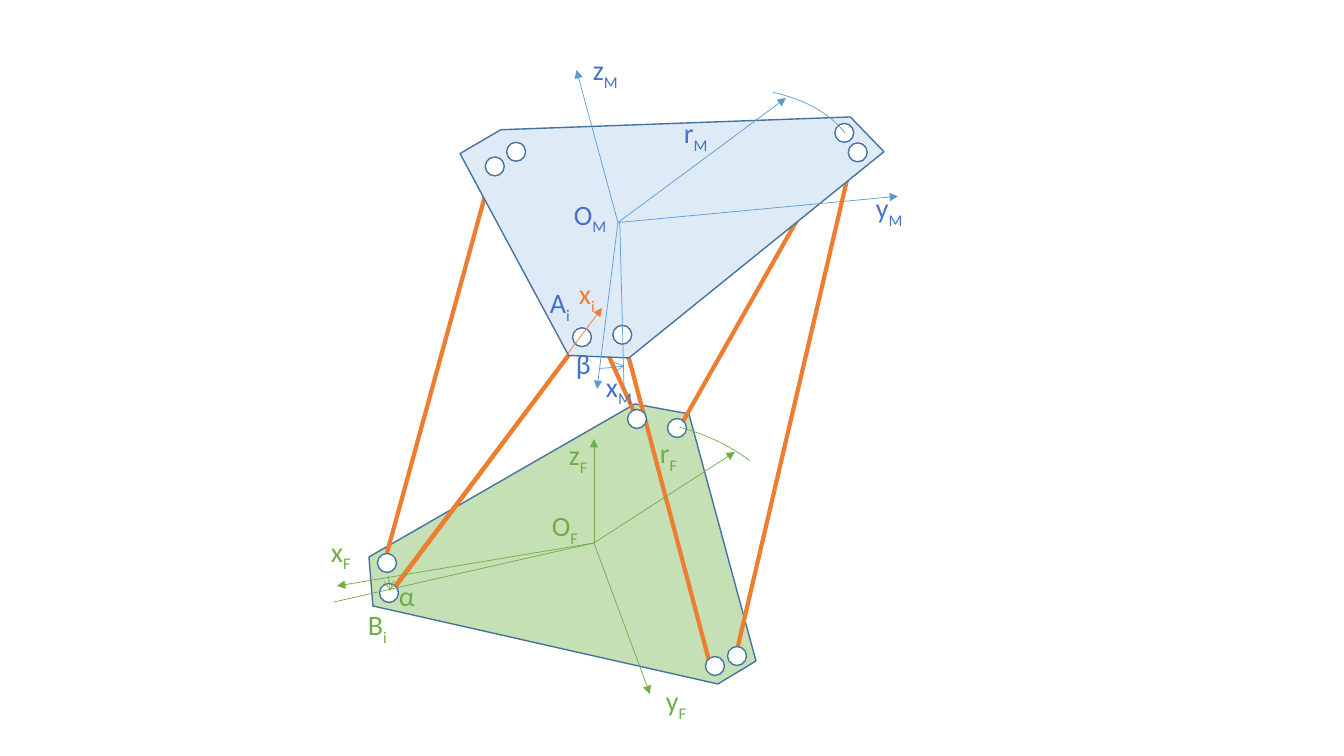
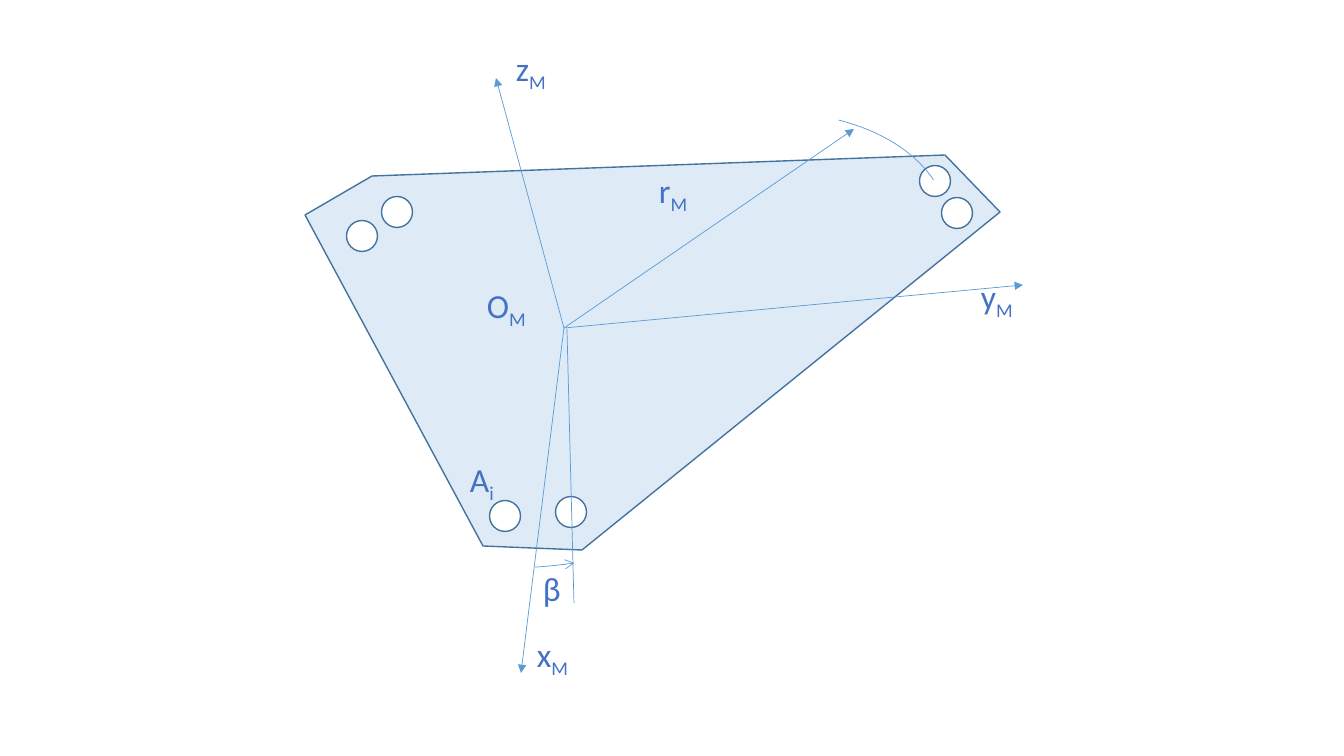
from lxml.etree import SubElement
from pptx import Presentation
from pptx.dml.color import RGBColor
from pptx.enum.shapes import MSO_CONNECTOR as Connector, MSO_SHAPE as Shape
from pptx.enum.text import MSO_AUTO_SIZE as AutoSize
from pptx.oxml.ns import qn
from pptx.util import Emu, Pt

EMU_PER_PX = 914400 / 100.8
FONT = "Calibri"
OUTLINE = "43739E"
WHITE = "FFFFFF"
MOVING_FILL = "DEEBF7"
MOVING_LINE = "5B9BD5"
MOVING_TEXT = "4472C4"
FIXED_FILL = "C5E0B4"
FIXED = "70AD47"
LEG = "ED7D31"
THIN = 0.5

MOVING_CORNERS = [(0, 60), (178, 391), (277, 395), (695, 57), (640, 0), (67, 21)]
MOVING_JOINTS = [(57, 81), (92, 57), (200, 361), (266, 357), (630, 26), (652, 58)]
FIXED_CORNERS = [(369, 557), (373, 606), (718, 684), (756, 661), (689, 414), (635, 404)]
FIXED_JOINTS = [(677, 428), (637, 419), (737, 656), (715, 666), (387, 563), (389, 593)]
LEGS = [
    ((735, 659), (854, 150)),
    ((681, 425), (851, 125)),
    ((712, 672), (622, 332)),
    ((396, 586), (586, 332)),
    ((387, 553), (494, 163)),
    ((635, 414), (515, 148)),
]


def px(length):
    return Emu(round(length * EMU_PER_PX))


def color(code):
    return RGBColor.from_string(code)


def set_line(item, code, width):
    item.line.color.rgb = color(code)
    item.line.width = Pt(width)


def add_arrowhead(item, end, style):
    SubElement(item.line._get_or_add_ln(), qn(f"a:{end}"), type=style)


def set_body(shape, fill):
    shape.shadow.inherit = False
    shape.fill.solid()
    shape.fill.fore_color.rgb = color(fill)
    set_line(shape, OUTLINE, 1)


def add_plate(slide, corners, fill):
    points = [(px(x), px(y)) for x, y in corners]
    outline = slide.shapes.build_freeform(*points[0], scale=1.0)
    outline.add_line_segments(points[1:], close=True)
    set_body(outline.convert_to_shape(), fill)


def add_joints(slide, centers, size):
    for x, y in centers:
        joint = slide.shapes.add_shape(
            Shape.OVAL, px(x - size / 2), px(y - size / 2), px(size), px(size))
        set_body(joint, WHITE)


def add_segment(slide, start, end, code, width=THIN):
    segment = slide.shapes.add_connector(
        Connector.STRAIGHT, *(px(value) for value in (*start, *end)))
    set_line(segment, code, width)
    SubElement(segment._element.spPr, qn("a:effectLst"))
    return segment


def add_axis(slide, start, end, code):
    add_arrowhead(add_segment(slide, start, end, code), "tailEnd", "triangle")


def add_arc(slide, box, rotation, angles, code, arrow=False):
    arc = slide.shapes.add_shape(Shape.ARC, *(px(value) for value in box))
    arc.rotation = rotation
    for index, angle in enumerate(angles):
        arc.adjustments[index] = angle * 0.6
    arc.shadow.inherit = False
    arc.fill.background()
    set_line(arc, code, THIN)
    if arrow:
        add_arrowhead(arc, "headEnd", "arrow")


def add_labels(slide, labels, code, size, height):
    for symbol, subscript, left, top, width in labels:
        label = slide.shapes.add_textbox(px(left), px(top), px(width), px(height))
        frame = label.text_frame
        frame.word_wrap = False
        frame.auto_size = AutoSize.SHAPE_TO_FIT_TEXT
        for part, baseline in ((symbol, None), (subscript, "-25000")):
            if not part:
                continue
            run = frame.paragraphs[0].add_run()
            run.text = part
            run.font.name = FONT
            run.font.size = Pt(size)
            run.font.color.rgb = color(code)
            if baseline:
                run._r.get_or_add_rPr().set("baseline", baseline)


def add_moving_platform(slide, left, top, scale, x_tip, radius_tip):
    def place(point):
        return left + point[0] * scale, top + point[1] * scale

    add_plate(slide, [place(corner) for corner in MOVING_CORNERS], MOVING_FILL)
    add_joints(slide, [place(joint) for joint in MOVING_JOINTS], 31 * scale)
    origin = place((259, 173))
    for tip in (place((718, 130)), x_tip, place((191, -77)), radius_tip):
        add_axis(slide, origin, tip, MOVING_LINE)
    add_segment(slide, place((262, 174)), place((269, 448)), MOVING_LINE)
    beta_box = (*place((-43, 0)), 701 * scale, 395 * scale)
    add_arc(slide, beta_box, 342.5, (117.75, 127.35), MOVING_LINE, arrow=True)


def add_fixed_axes(slide):
    origin = (594, 543)
    for tip in ((650, 694), (337, 586), (594, 439), (735, 452)):
        add_axis(slide, origin, tip, FIXED)
    add_segment(slide, origin, (334, 602), FIXED)
    add_arc(slide, (387, 419, 411, 282), 354.1, (309.13, 333.62), FIXED)
    add_arc(slide, (388, 420, 411, 282), 354.1, (177.5, 181.6), FIXED, arrow=True)


def build_hexapod(slide):
    add_plate(slide, FIXED_CORNERS, FIXED_FILL)
    for start, end in LEGS:
        add_segment(slide, start, end, LEG, 3)
    add_joints(slide, FIXED_JOINTS, 19)
    add_moving_platform(slide, 460, 117, 0.61, (597, 389), (786, 98))
    add_arc(slide, (439, 98, 427, 241), 342.5, (331.25, 353.58), MOVING_LINE)
    add_labels(slide, [
        ("x", "M", 596, 365, 48), ("y", "M", 866, 186, 49),
        ("z", "M", 583, 48, 47), ("O", "M", 564, 193, 55),
        ("r", "M", 674, 111, 46), ("β", "", 566, 342, 35),
        ("A", "i", 540, 281, 41),
    ], MOVING_TEXT, 20, 44)
    add_axis(slide, (390, 590), (602, 308), LEG)
    add_labels(slide, [("x", "i", 569, 272, 36)], LEG, 20, 44)
    add_fixed_axes(slide)
    add_labels(slide, [
        ("x", "F", 321, 530, 41), ("y", "F", 656, 679, 41),
        ("z", "F", 559, 433, 40), ("O", "F", 542, 504, 47),
        ("r", "F", 650, 431, 39), ("α", "", 389, 574, 36),
        ("B", "i", 358, 603, 41),
    ], FIXED, 20, 44)


def build_moving_platform(slide):
    add_moving_platform(slide, 305, 155, 1, (521, 673), (854, 129))
    add_arc(slide, (425, 123, 534, 328), 342.5, (328.81, 353.58), MOVING_LINE)
    add_labels(slide, [
        ("x", "M", 527, 629, 54), ("y", "M", 971, 271, 55),
        ("z", "M", 506, 43, 53), ("O", "M", 477, 280, 62),
        ("r", "M", 649, 165, 51), ("β", "", 533, 563, 38),
        ("A", "i", 460, 454, 45),
    ], MOVING_TEXT, 24, 50)


def main():
    deck = Presentation()
    deck.slide_width = px(1344)
    deck.slide_height = px(756)
    for build in (build_hexapod, build_moving_platform):
        build(deck.slides.add_slide(deck.slide_layouts[6]))
    deck.save("out.pptx")


main()
